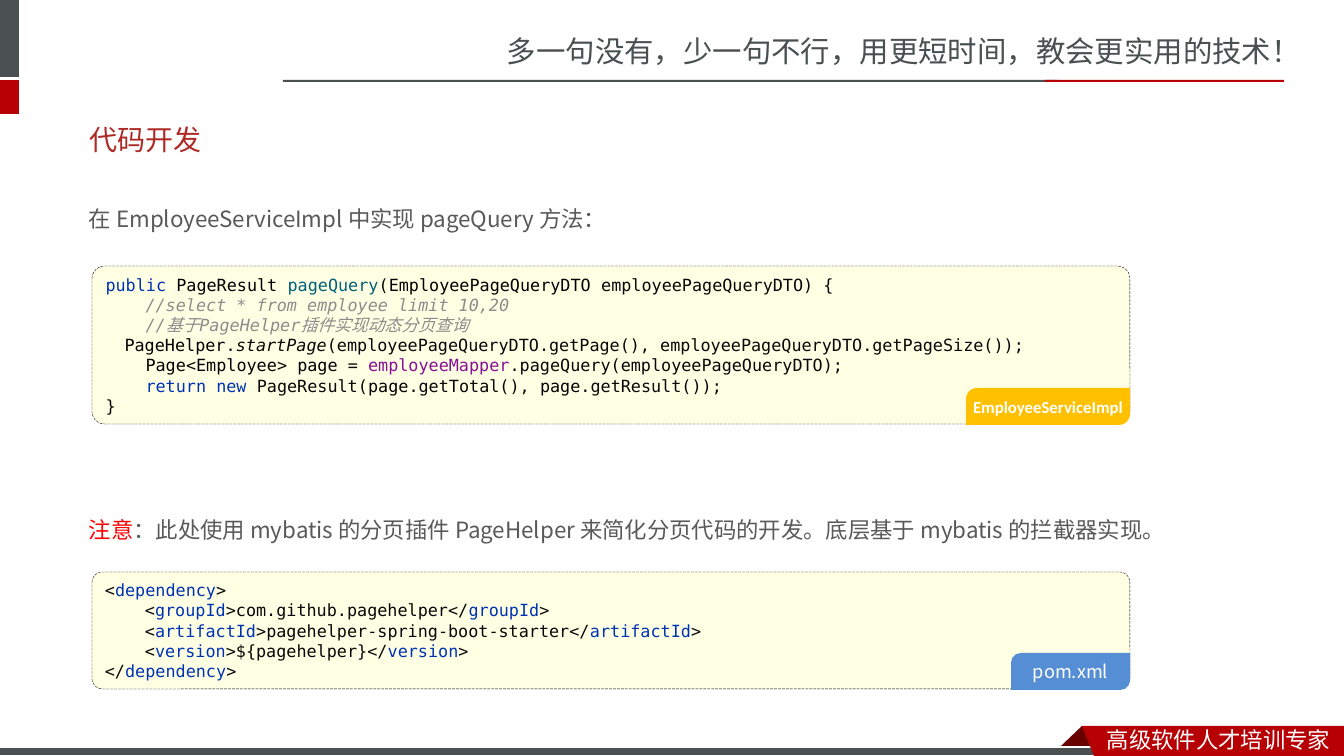
from pptx import Presentation, util as u
from pptx.dml.color import RGBColor
from pptx.enum import dml, shapes, text
from lxml import etree

EMU_PER_PX = 12192000 / 1344
WHITE = RGBColor(0xFF, 0xFF, 0xFF)
SLATE = RGBColor(0x49, 0x50, 0x4F)
RED = RGBColor(0xB6, 0x00, 0x04)
DARK_RED = RGBColor(0x68, 0x00, 0x00)
TITLE_RED = RGBColor(0xAD, 0x2A, 0x26)
NOTE_RED = RGBColor(0xFF, 0x00, 0x00)
GREY = RGBColor(0x59, 0x59, 0x59)
CREAM = RGBColor(0xFF, 0xFF, 0xE4)
AMBER = RGBColor(0xFF, 0xC0, 0x00)
BLUE = RGBColor(0x55, 0x8E, 0xD5)
BLACK = RGBColor(0x00, 0x00, 0x00)
INK = RGBColor(0x08, 0x08, 0x08)
KEYWORD = RGBColor(0x00, 0x33, 0xB3)
METHOD = RGBColor(0x00, 0x62, 0x7A)
FIELD = RGBColor(0x87, 0x10, 0x94)
COMMENT = RGBColor(0x8C, 0x8C, 0x8C)
MONO, SANS, BODY, LATIN = "DejaVu Sans Mono", "Noto Sans CJK SC", "Noto Sans CJK JP", "Calibri"
CODE_INDENT, CALL_INDENT = 40, 19
PANEL_WIDTH, TAG_HEIGHT = 1038, 37


def px(length):
    return u.Emu(round(length * EMU_PER_PX))


def format_run(run, size, font, color, italic=False, bold=False, east_asian=None):
    run.font.size = u.Pt(size)
    run.font.name = font
    run.font.color.rgb = color
    run.font.italic = italic
    run.font.bold = bold
    latin = run.font._element.find("{*}latin")
    ea = etree.Element(latin.tag.replace("latin", "ea"), typeface=east_asian or font)
    latin.addnext(ea)


def add_label(slide, box, pieces, size, font, spacing=None):
    label = slide.shapes.add_textbox(*map(px, box))
    label.text_frame.word_wrap = True
    line = label.text_frame.paragraphs[0]
    if spacing:
        line.line_spacing = spacing
    for words, color in pieces:
        run = line.add_run()
        run.text = words
        format_run(run, size, font, color)


def paint(shape, fill, line=None, width=0.75):
    shape.shadow.inherit = False
    shape.fill.solid()
    shape.fill.fore_color.rgb = fill
    if line is None:
        shape.line.fill.background()
    else:
        shape.line.color.rgb = line
        shape.line.width = u.Pt(width)


def add_block(slide, box, fill, line=None, kind=shapes.MSO_SHAPE.RECTANGLE):
    block = slide.shapes.add_shape(kind, *map(px, box))
    paint(block, fill, line)
    return block


def add_outline(slide, points, fill):
    corners = [(px(x), px(y)) for x, y in points]
    builder = slide.shapes.build_freeform(*corners[0], scale=1.0)
    builder.add_line_segments(corners[1:], close=True)
    paint(builder.convert_to_shape(), fill)


def add_header(slide, box):
    left, top, width, _ = box
    right = left + width
    add_label(slide, (right - 847, top + 28, 847, 47),
              [("多一句没有，少一句不行，用更短时间，教会更实用的技术！", SLATE)], 21, SANS)
    for part, fill in (((left, top, 19, 77), SLATE), ((left, top + 80, 19, 34), RED),
                       ((left + 283, top + 80, 774, 2), SLATE),
                       ((left + 1045, top + 80, 239, 2), RED)):
        add_block(slide, part, fill)


def add_footer(slide, box):
    left, top, width, height = box
    right, bottom, corner = left + width, top + height, left + 1082
    add_outline(slide, [(corner, top), (corner + 22, top + 22), (corner + 21, top + 23),
                        (corner - 22, top + 23), (corner - 23, top + 22)], DARK_RED)
    add_block(slide, (left, top + 21, 1108, height - 21), SLATE, WHITE)
    add_outline(slide, [(corner, top), (right, top), (right, bottom), (corner + 12, bottom)], RED)
    add_label(slide, (right - 247, top - 5, 247, 37), [("高级软件人才培训专家", WHITE)], 16, SANS)


def set_title(slide, box, words):
    title = slide.shapes.title
    title.left, title.top, title.width, title.height = map(px, box)
    title.text_frame.text = words
    title.text_frame.vertical_anchor = text.MSO_ANCHOR.MIDDLE
    line = title.text_frame.paragraphs[0]
    line.alignment = text.PP_ALIGN.LEFT
    format_run(line.runs[0], 20, LATIN, TITLE_RED, east_asian=SANS)


def add_code_panel(slide, box, rounding, code_lines, tag):
    left, top, width, height = box
    panel = add_block(slide, box, CREAM, BLACK, shapes.MSO_SHAPE.ROUNDED_RECTANGLE)
    panel.adjustments[0] = rounding
    panel.line.width = u.Pt(0.25)
    panel.line.dash_style = dml.MSO_LINE.LONG_DASH
    code = panel.text_frame
    code.word_wrap = True
    code.vertical_anchor = text.MSO_ANCHOR.MIDDLE
    for number, (indent, pieces) in enumerate(code_lines):
        line = code.add_paragraph() if number else code.paragraphs[0]
        line.alignment = text.PP_ALIGN.LEFT
        line._p.get_or_add_pPr().set("marL", str(px(indent)))
        for words, color, *slant in pieces:
            run = line.add_run()
            run.text = words
            format_run(run, 12, MONO, color, italic=bool(slant), east_asian=SANS)

    file_name, tag_width, tag_fill, tag_rounding, size, font, bold = tag
    file_tag = add_block(slide, (left + width - tag_width, top + height - TAG_HEIGHT + 1,
                                 tag_width, TAG_HEIGHT),
                         tag_fill, kind=shapes.MSO_SHAPE.ROUND_2_DIAG_RECTANGLE)
    file_tag.adjustments[0] = tag_rounding
    file_tag.adjustments[1] = 0
    caption = file_tag.text_frame
    caption.margin_left = caption.margin_right = caption.margin_top = caption.margin_bottom = 0
    caption.word_wrap = True
    caption.vertical_anchor = text.MSO_ANCHOR.MIDDLE
    caption.text = file_name
    caption.paragraphs[0].alignment = text.PP_ALIGN.CENTER
    format_run(caption.paragraphs[0].runs[0], size, font, WHITE, bold=bold)


def xml_element(name, value):
    return CODE_INDENT, [("<", INK), (name, KEYWORD), (f">{value}</", INK),
                         (name, KEYWORD), (">", INK)]


JAVA_CODE = [
    (0, [("public ", KEYWORD), ("PageResult ", BLACK), ("pageQuery", METHOD), ("(", INK),
         ("EmployeePageQueryDTO ", BLACK), ("employeePageQueryDTO) {", INK)]),
    (CODE_INDENT, [("//select * from employee limit 10,20", COMMENT, "italic")]),
    (CODE_INDENT, [("//基于PageHelper插件实现动态分页查询", COMMENT, "italic")]),
    (CALL_INDENT, [("PageHelper", BLACK), (".", INK), ("startPage", INK, "italic"),
                   ("(employeePageQueryDTO.getPage(), employeePageQueryDTO.getPageSize());", INK)]),
    (CODE_INDENT, [("Page", BLACK), ("<", INK), ("Employee", BLACK), ("> ", INK),
                   ("page ", BLACK), ("= ", INK), ("employeeMapper", FIELD),
                   (".pageQuery(employeePageQueryDTO);", INK)]),
    (CODE_INDENT, [("return new ", KEYWORD), ("PageResult(", INK), ("page", BLACK),
                   (".getTotal(), ", INK), ("page", BLACK), (".getResult());", INK)]),
    (0, [("}", INK)]),
]
POM_CODE = [
    (0, [("<", INK), ("dependency", KEYWORD), (">", INK)]),
    xml_element("groupId", "com.github.pagehelper"),
    xml_element("artifactId", "pagehelper-spring-boot-starter"),
    xml_element("version", "${pagehelper}"),
    (0, [("</", INK), ("dependency", KEYWORD), (">", INK)]),
]


def main():
    deck = Presentation()
    deck.slide_width, deck.slide_height = px(1344), px(756)
    slide = deck.slides.add_slide(deck.slide_layouts[5])
    add_header(slide, (0, 0, 1344, 114))
    add_footer(slide, (0, 726, 1344, 30))
    set_title(slide, (79, 111, 1179, 57), "代码开发")
    add_label(slide, (79, 187, 1148, 46),
              [("在 EmployeeServiceImpl 中实现 pageQuery 方法：", GREY)], 16, BODY, 1.5)
    add_code_panel(slide, (92, 266, PANEL_WIDTH, 158), 0.08, JAVA_CODE,
                   ("EmployeeServiceImpl", 164, AMBER, 0.3, 12, LATIN, True))
    add_label(slide, (79, 498, 1148, 46),
              [("注意", NOTE_RED),
               ("：此处使用 mybatis 的分页插件 PageHelper 来简化分页代码的开发。底层基于 mybatis 的拦截器实现。", GREY)],
              16, BODY, 1.5)
    add_code_panel(slide, (92, 572, PANEL_WIDTH, 117), 0.09, POM_CODE,
                   ("pom.xml", 119, BLUE, 0.26, 13, BODY, False))
    deck.save("out.pptx")


if __name__ == "__main__":
    main()
